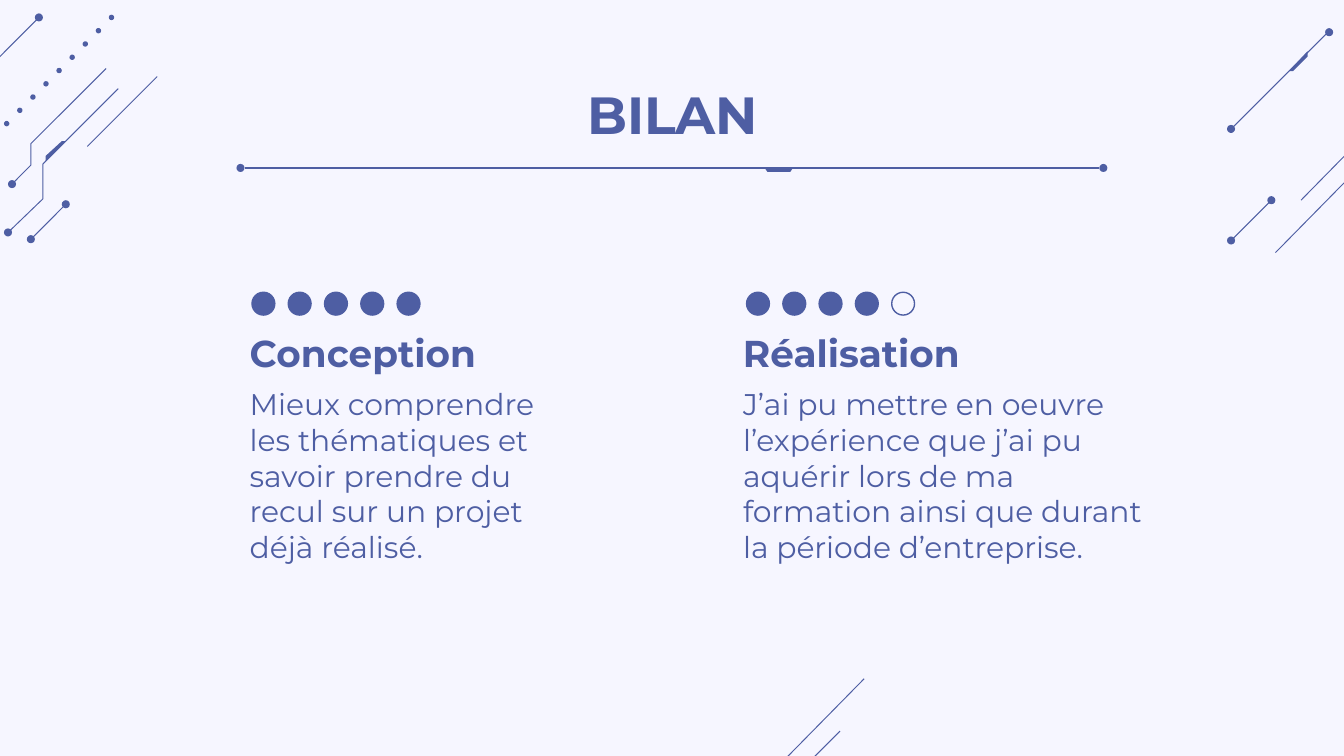
from dataclasses import dataclass

from lxml import etree
from pptx import Presentation
from pptx.dml.color import RGBColor
from pptx.enum.shapes import MSO_CONNECTOR, MSO_SHAPE
from pptx.enum.text import MSO_ANCHOR, PP_ALIGN
from pptx.oxml.ns import qn
from pptx.util import Inches, Pt

STRAIGHT = MSO_CONNECTOR.STRAIGHT
OVAL = MSO_SHAPE.OVAL
TOP = MSO_ANCHOR.TOP
LEFT, CENTER = PP_ALIGN.LEFT, PP_ALIGN.CENTER


@dataclass(frozen=True)
class Theme:
    background: RGBColor = RGBColor(0xF6, 0xF6, 0xFF)
    ink: RGBColor = RGBColor(0x4E, 0x5E, 0xA3)
    font: str = "Montserrat"
    title: int = 28
    heading: int = 20
    body: int = 16
    trace: float = 0.5
    rule: float = 0.75


class SlideBuilder:
    """Draws styled elements on one slide; all lengths are in inches."""

    def __init__(self, slide, theme):
        self.slide = slide
        self.theme = theme
        slide.background.fill.solid()
        slide.background.fill.fore_color.rgb = theme.background

    def _paint(self, shape, filled=True, width=None):
        shape.shadow.inherit = False
        if filled:
            shape.fill.solid()
            shape.fill.fore_color.rgb = self.theme.ink
        else:
            shape.fill.background()
        if width:
            shape.line.color.rgb = self.theme.ink
            shape.line.width = Pt(width)
        else:
            shape.line.fill.background()

    def line(self, start, end, width):
        connector = self.slide.shapes.add_connector(
            STRAIGHT, *(Inches(v) for v in (*start, *end)))
        connector.line.color.rgb = self.theme.ink
        connector.line.width = Pt(width)
        etree.SubElement(connector._element.spPr, qn("a:effectLst"))

    def dot(self, center, size, filled=True, width=None):
        x, y = center
        oval = self.slide.shapes.add_shape(
            OVAL, Inches(x - size / 2), Inches(y - size / 2), Inches(size), Inches(size))
        self._paint(oval, filled, width)

    def outline(self, points, closed=True, width=None):
        first, *rest = [(Inches(x), Inches(y)) for x, y in points]
        builder = self.slide.shapes.build_freeform(*first)
        builder.add_line_segments(rest, close=closed)
        self._paint(builder.convert_to_shape(), closed, width)

    def text(self, content, box, size, bold=False, align=LEFT):
        frame = self.slide.shapes.add_textbox(*(Inches(v) for v in box)).text_frame
        frame.word_wrap = True
        frame.vertical_anchor = TOP
        frame.margin_left = frame.margin_right = Inches(0.1)
        frame.margin_top = frame.margin_bottom = 0
        paragraph = frame.paragraphs[0]
        paragraph.text = content
        paragraph.alignment = align
        paragraph.font.name = self.theme.font
        paragraph.font.size = Pt(size)
        paragraph.font.bold = bold
        paragraph.font.color.rgb = self.theme.ink


# Straight circuit traces: start, end
TRACES = [
    ((9.68, 1.49), (10.27, 0.89)), ((9.49, 1.88), (10.08, 1.28)),
    ((9.16, 1.79), (9.46, 1.49)), ((9.16, 0.96), (9.88, 0.24)),
    ((5.84, 5.65), (6.43, 5.05)), ((5.65, 6.04), (6.25, 5.44)),
    ((0.23, 1.78), (0.49, 1.52)), ((-0.42, 0.84), (0.29, 0.13)),
    ((0.65, 1.09), (1.17, 0.57)),
]
BENT_TRACES = [
    [(0.06, 1.73), (0.32, 1.48), (0.32, 1.22), (0.88, 0.66)],
    [(0.09, 1.37), (0.23, 1.23), (0.23, 1.07), (0.79, 0.51)],
]
TRACE_ENDS = [
    (9.46, 1.49), (9.16, 1.79), (9.89, 0.24), (9.16, 0.96), (0.06, 1.73),
    (0.09, 1.37), (0.23, 1.78), (0.49, 1.52), (0.29, 0.13),
]
# Dotted diagonal: lower left, upper right, number of dots
DOTTED_START, DOTTED_END, DOTTED_COUNT = (0.05, 0.92), (0.83, 0.13), 9
# Thick accents lying on the traces and on the title rule
ACCENTS = [
    [(9.73, 0.38), (9.59, 0.53), (9.62, 0.53), (9.73, 0.42)],
    [(0.34, 1.2), (0.49, 1.05), (0.46, 1.05), (0.34, 1.16)],
    [(5.69, 1.25), (5.9, 1.25), (5.88, 1.28), (5.71, 1.28)],
]
# Text left, text width, first rating dot, score, heading, body
COLUMNS = [
    (1.76, 2.66, 1.96, 5, "Conception",
     "Mieux comprendre les thématiques et savoir prendre du recul "
     "sur un projet déjà réalisé."),
    (5.43, 3.25, 5.64, 4, "Réalisation",
     "J’ai pu mettre en oeuvre l’expérience que j’ai pu aquérir lors de ma "
     "formation ainsi que durant la période d’entreprise."),
]
MAX_SCORE = 5
RATING_STEP = 0.27


def main():
    theme = Theme()
    deck = Presentation()
    deck.slide_width = Inches(10)
    deck.slide_height = deck.slide_width * 9 // 16
    page = SlideBuilder(deck.slides.add_slide(deck.slide_layouts[6]), theme)

    # Circuit decoration
    for start, end in TRACES:
        page.line(start, end, theme.trace)
    for points in BENT_TRACES:
        page.outline(points, closed=False, width=theme.trace)
    for center in TRACE_ENDS:
        page.dot(center, 0.06)
    for i in range(DOTTED_COUNT):
        share = i / (DOTTED_COUNT - 1)
        page.dot([a + (b - a) * share for a, b in zip(DOTTED_START, DOTTED_END)], 0.04)
    for points in ACCENTS:
        page.outline(points)

    # Title and rule
    page.text("BILAN", (0.86, 0.61, 8.29, 0.63), theme.title, bold=True, align=CENTER)
    page.line((1.82, 1.25), (8.18, 1.25), theme.rule)
    for x in (1.79, 8.21):
        page.dot((x, 1.25), 0.06)

    # Rated columns
    for left, width, first_dot, score, heading, body in COLUMNS:
        for i in range(MAX_SCORE):
            page.dot((first_dot + RATING_STEP * i, 2.26), 0.17,
                     filled=i < score, width=theme.rule)
        page.text(heading, (left, 2.46, 2.5, 0.37), theme.heading, bold=True)
        page.text(body, (left, 2.87, width, 0.83), theme.body)

    deck.save("out.pptx")


if __name__ == "__main__":
    main()
